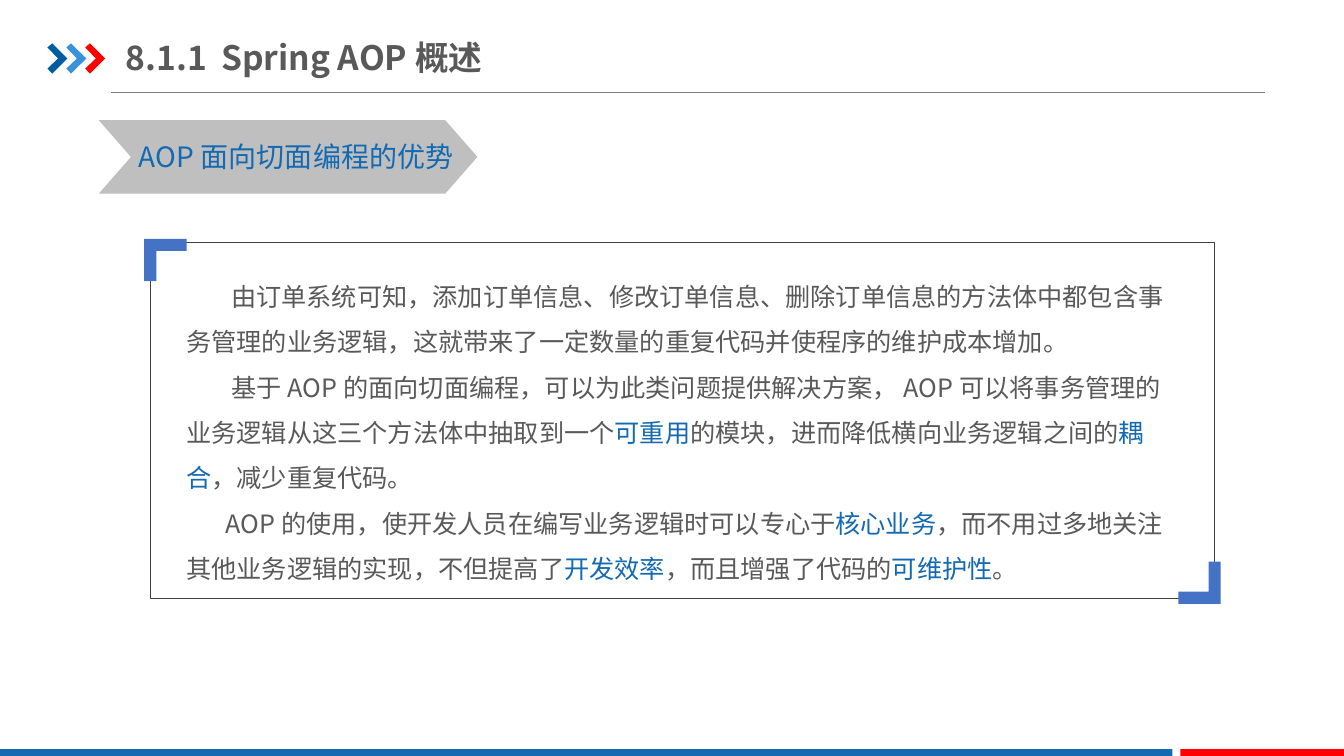
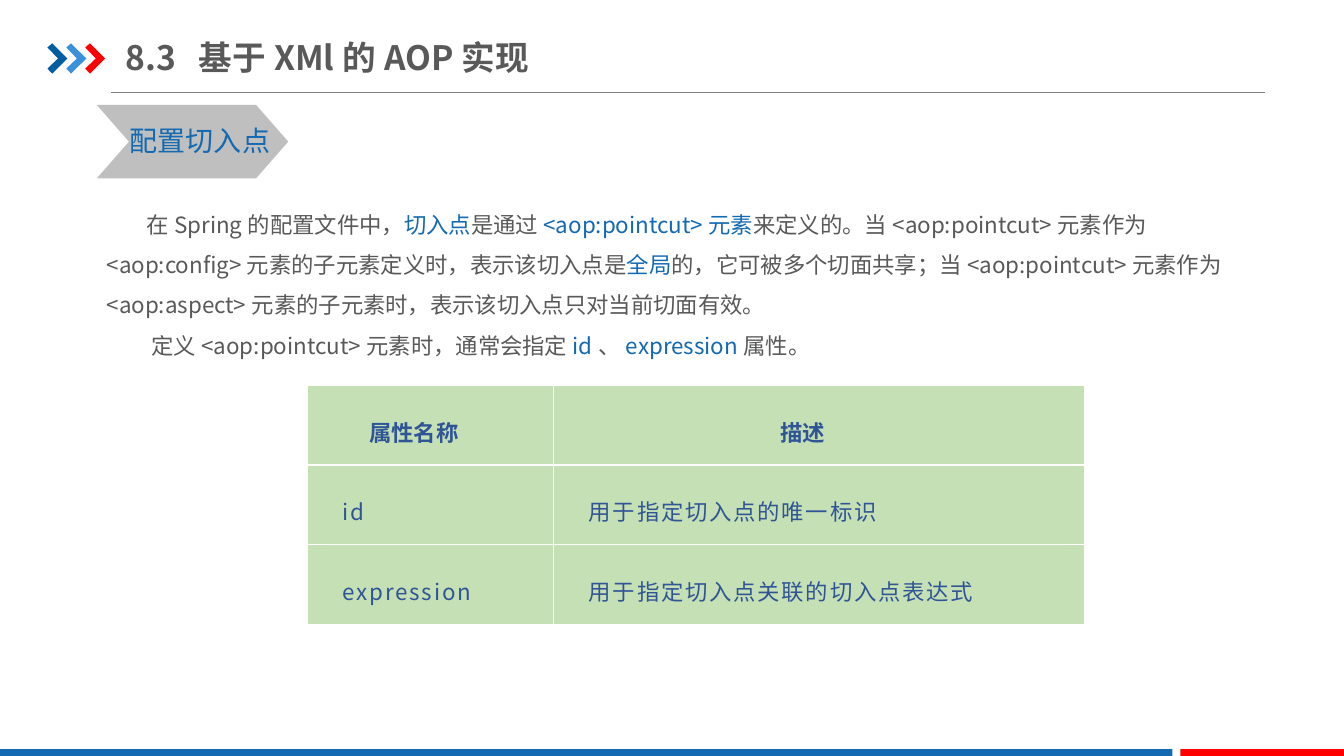
from dataclasses import dataclass

from lxml import etree
from pptx import Presentation
from pptx.dml.color import RGBColor
from pptx.enum.shapes import MSO_CONNECTOR, MSO_SHAPE
from pptx.enum.text import MSO_ANCHOR, MSO_AUTO_SIZE, PP_ALIGN
from pptx.oxml import parse_xml
from pptx.oxml.ns import nsdecls, qn
from pptx.util import Pt

RECT, CHEVRON = MSO_SHAPE.RECTANGLE, MSO_SHAPE.CHEVRON
STRAIGHT = MSO_CONNECTOR.STRAIGHT
MIDDLE, TOP = MSO_ANCHOR.MIDDLE, MSO_ANCHOR.TOP
LEFT, CENTER = PP_ALIGN.LEFT, PP_ALIGN.CENTER
FIXED = MSO_AUTO_SIZE.NONE

FONT = "Noto Sans CJK SC"
BLUE, RED, GREY = "1369B2", "FF0000", "595959"
NAVY, GREEN, WHITE = "2F5597", "C5E0B4", "FFFFFF"
ARROWS = ("005DA2", "3992DB", RED)
ARROW = ((0, 2.9), (3.4, 0), (14.3, 10.8), (3.4, 21.6), (0, 18), (7.6, 10.8))
CORNER = ((0, 0), (30.24, 0), (30.24, 8.64), (8.64, 8.64), (8.64, 30.24), (0, 30.24))


@dataclass(frozen=True)
class Head:
    number: str
    name: str
    tab: float


@dataclass(frozen=True)
class Tag:
    text: str
    left: float
    top: float
    width: float
    shift: float
    span: float


@dataclass(frozen=True)
class Para:
    """Runs alternate between plain and highlighted."""
    indent: float
    runs: tuple[str, ...]


def color(code: str) -> RGBColor:
    return RGBColor.from_string(code)


def paint(shape, fill: str | None, line: str | None = None, weight: float = 0.25) -> None:
    shape.shadow.inherit = False
    if fill:
        shape.fill.solid()
        shape.fill.fore_color.rgb = color(fill)
    else:
        shape.fill.background()
    if line:
        shape.line.color.rgb = color(line)
        shape.line.width = Pt(weight)
    else:
        shape.line.fill.background()


def block(slide, kind, box: tuple, fill: str | None, line: str | None = None):
    shape = slide.shapes.add_shape(kind, *map(Pt, box))
    paint(shape, fill, line)
    return shape


def outline(slide, points: tuple, left: float, top: float, fill: str, sign: int = 1) -> None:
    """Draw a closed shape; sign -1 turns it by half a circle."""
    spots = [(Pt(left + sign * x), Pt(top + sign * y)) for x, y in points]
    form = slide.shapes.build_freeform(*spots[0], scale=1.0)
    form.add_line_segments(spots[1:], close=True)
    paint(form.convert_to_shape(), fill)


def write(para, text: str, size: float, code: str, bold: bool = False, gap: int = 0) -> None:
    """Add a run; gap is the letter spacing in hundredths of a point."""
    run = para.add_run()
    run.text = text
    font = run.font
    font.size, font.bold, font.name = Pt(size), bold, FONT
    font.color.rgb = color(code)
    props = run._r.get_or_add_rPr()
    etree.SubElement(props, qn("a:ea"), typeface=FONT)
    if gap:
        props.set("spc", str(gap))


def frame(slide, head: Head) -> None:
    """Draw the title, its rule and arrows, and the bottom bands."""
    rule = slide.shapes.add_connector(STRAIGHT, Pt(79.2), Pt(65.9), Pt(903.6), Pt(65.9))
    rule.line.color.rgb = color("808080")
    rule.line.width = Pt(0.5)
    etree.SubElement(rule._element.spPr, qn("a:effectLst"))
    for i, code in enumerate(ARROWS):
        outline(slide, ARROW, 33.9 + 13.5 * i, 31, code)
    block(slide, RECT, (0, 535, 837.4, 6.5), BLUE)
    block(slide, RECT, (843.1, 535, 117, 6.5), RED)

    title = slide.shapes.title
    title.left, title.top, title.width, title.height = map(Pt, (90, 21, 480, 39.6))
    body = title.text_frame
    body.auto_size, body.vertical_anchor = FIXED, MIDDLE
    body.margin_left = body.margin_right = 0
    para = body.paragraphs[0]
    para.alignment = LEFT
    tabs = etree.SubElement(para._p.get_or_add_pPr(), qn("a:tabLst"))
    etree.SubElement(tabs, qn("a:tab"), pos=str(Pt(head.tab)), algn="l")
    write(para, f"{head.number}\t{head.name}", 24, GREY, True)


def label(slide, tag: Tag) -> None:
    arrow = block(slide, CHEVRON, (tag.left, tag.top, tag.width, 52.6), "BFBFBF")
    arrow.adjustments[0] = 0.438
    box = slide.shapes.add_textbox(
        Pt(tag.left + tag.shift), Pt(tag.top + 10), Pt(tag.span), Pt(31.5))
    box.text_frame.word_wrap = False
    write(box.text_frame.paragraphs[0], tag.text, 20, BLUE)


def prose(slide, box: tuple, paras: tuple[Para, ...], size: float) -> None:
    body = slide.shapes.add_textbox(*map(Pt, box)).text_frame
    body.word_wrap = True
    for i, item in enumerate(paras):
        para = body.add_paragraph() if i else body.paragraphs[0]
        para.line_spacing = 1.5
        props = para._p.get_or_add_pPr()
        props.set("marL", "0")
        props.set("indent", str(Pt(item.indent)))
        for j, text in enumerate(item.runs):
            write(para, text, size, BLUE if j % 2 else GREY)


def edge(cell) -> None:
    """Give a cell thin white borders."""
    props = cell._tc.get_or_add_tcPr()
    for i, side in enumerate("LRTB"):
        props.insert(i, parse_xml(
            f'<a:ln{side} {nsdecls("a")} w="{Pt(1)}"><a:solidFill>'
            f'<a:srgbClr val="{WHITE}"/></a:solidFill></a:ln{side}>'))


def grid(slide, left: float, top: float, widths: tuple, height: float, rows: tuple) -> None:
    table = slide.shapes.add_table(
        len(rows), len(widths), Pt(left), Pt(top),
        Pt(sum(widths)), Pt(height * len(rows))).table
    table.horz_banding = False
    for col, width in zip(table.columns, widths):
        col.width = Pt(width)
    for i, texts in enumerate(rows):
        table.rows[i].height = Pt(height)
        first = i == 0
        for j, text in enumerate(texts):
            cell = table.cell(i, j)
            cell.fill.solid()
            cell.fill.fore_color.rgb = color(GREEN)
            edge(cell)
            cell.vertical_anchor = TOP
            cell.margin_left, cell.margin_right = Pt(25), Pt(49 if first else 25)
            cell.margin_top, cell.margin_bottom = Pt(17), 0
            para = cell.text_frame.paragraphs[0]
            para.alignment = CENTER if first else LEFT
            para.line_spacing = 1.2
            write(para, text, 16, NAVY, first, 0 if first else 130)


MERITS = (
    Para(32, ("由订单系统可知，添加订单信息、修改订单信息、删除订单信息的方法体中都包含"
              "事务管理的业务逻辑，这就带来了一定数量的重复代码并使程序的维护成本增加。",)),
    Para(32, ("基于AOP的面向切面编程，可以为此类问题提供解决方案，AOP可以将事务管理的"
              "业务逻辑从这三个方法体中抽取到一个", "可重用",
              "的模块，进而降低横向业务逻辑之间的", "耦合", "，减少重复代码。")),
    Para(28, ("AOP的使用，使开发人员在编写业务逻辑时可以专心于", "核心业务",
              "，而不用过多地关注其他业务逻辑的实现，不但提高了", "开发效率",
              "，而且增强了代码的", "可维护性", "。")),
)
POINTCUT = (
    Para(28.5, ("在Spring的配置文件中，", "切入点", "是通过", "<aop:pointcut>元素",
                "来定义的。当<aop:pointcut>元素作为<aop:config>元素的子元素定义时，"
                "表示该切入点是", "全局",
                "的，它可被多个切面共享；当<aop:pointcut>元素作为<aop:aspect>元素的"
                "子元素时，表示该切入点只对当前切面有效。")),
    Para(32, ("定义<aop:pointcut>元素时，通常会指定", "id", "、", "expression", "属性。")),
)
FIELDS = (
    ("属性名称", "描述"),
    ("id", "用于指定切入点的唯一标识"),
    ("expression", "用于指定切入点关联的切入点表达式"),
)


def merits(slide) -> None:
    frame(slide, Head("8.1.1", "Spring AOP概述", 68))
    label(slide, Tag("AOP面向切面编程的优势", 70.5, 85.8, 270.5, 21.6, 239))
    prose(slide, (126, 186.5, 715.7, 233.3), MERITS, 18)
    block(slide, RECT, (107.3, 172.8, 760.3, 254.2), None, "404040")
    outline(slide, CORNER, 103, 170.6, "4472C4")
    outline(slide, CORNER, 871.9, 431.3, "4472C4", -1)


def pointcut(slide) -> None:
    frame(slide, Head("8.3", "基于XMl的AOP实现", 52))
    label(slide, Tag("配置切入点", 69.1, 74.9, 136.8, 16.6, 121.7))
    prose(slide, (69.1, 137.5, 840.2, 127.4), POINTCUT, 16)
    grid(slide, 219.8, 275, (175.8, 379.5), 57.1, FIELDS)


def main() -> None:
    deck = Presentation()
    deck.slide_width, deck.slide_height = Pt(960), Pt(540)
    for draw in (merits, pointcut):
        draw(deck.slides.add_slide(deck.slide_layouts[5]))
    deck.save("out.pptx")


if __name__ == "__main__":
    main()
